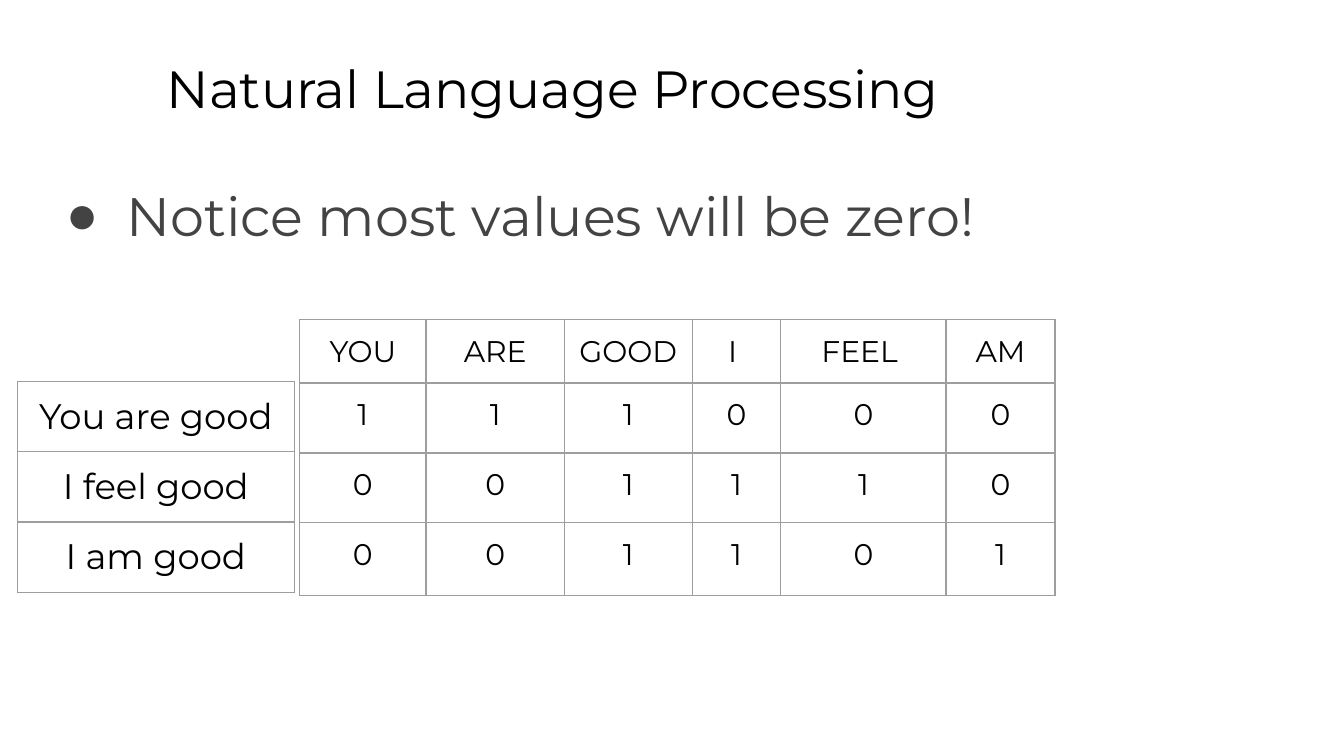
import dataclasses

import pptx
import pptx.dml.color
import pptx.enum.text
import pptx.oxml
import pptx.oxml.ns
import pptx.util

Inches = pptx.util.Inches
Align = pptx.enum.text.PP_ALIGN
Anchor = pptx.enum.text.MSO_ANCHOR


@dataclasses.dataclass(frozen=True)
class Theme:
    """Colours, font and type sizes of the slide."""
    font: str = "Montserrat"
    ink: str = "000000"
    body_ink: str = "434343"
    grid: str = "9E9E9E"
    paper: str = "FFFFFF"
    title_size: int = 28
    body_size: int = 29
    sentence_size: int = 19
    count_size: int = 16
    grid_width: float = 0.75


def write_text(frame, text, *, font, size, color, align=Align.LEFT):
    """Put one formatted paragraph in a text frame and return it."""
    para = frame.paragraphs[0]
    para.alignment = align
    para.space_before = para.space_after = pptx.util.Pt(0)
    span = para.add_run()
    span.text = text
    span.font.name = font
    span.font.size = pptx.util.Pt(size)
    span.font.color.rgb = pptx.dml.color.RGBColor.from_string(color)
    return para


def add_xml(parent, markup):
    """Append a DrawingML element to a parent element."""
    namespace = pptx.oxml.ns.nsdecls("a")
    parent.append(pptx.oxml.parse_xml(markup.replace(">", f" {namespace}>", 1)))


class SlideBuilder:
    """Holds the theme and the current slide."""

    def __init__(self, page, theme):
        """Keep the slide and paint its background."""
        self.page = page
        self.theme = theme
        fill = page.background.fill
        fill.solid()
        fill.fore_color.rgb = pptx.dml.color.RGBColor.from_string(theme.paper)

    def placeholder(self, box, text, area, size, color):
        """Move a placeholder and fill it with one paragraph."""
        box.left, box.top, box.width, box.height = map(Inches, area)
        frame = box.text_frame
        frame.word_wrap = True
        frame.auto_size = pptx.enum.text.MSO_AUTO_SIZE.NONE
        frame.vertical_anchor = Anchor.TOP
        frame.margin_left = frame.margin_right = Inches(0.1)
        frame.margin_top = frame.margin_bottom = Inches(0.1)
        return write_text(frame, text, font=self.theme.font, size=size, color=color)

    def title(self, text, area):
        """Write the slide title."""
        self.placeholder(self.page.shapes.title, text, area,
                         self.theme.title_size, self.theme.ink)

    def bullet(self, text, area):
        """Write the bulleted statement in the body placeholder."""
        para = self.placeholder(self.page.placeholders[1], text, area,
                                self.theme.body_size, self.theme.body_ink)
        properties = para._p.get_or_add_pPr()
        properties.set("marL", str(Inches(0.5)))
        properties.set("indent", str(Inches(-0.45)))
        add_xml(properties, f'<a:buClr><a:srgbClr val="{self.theme.body_ink}"/></a:buClr>')
        add_xml(properties, '<a:buChar char="●"></a:buChar>')

    def table(self, rows, left, top, widths, heights, size):
        """Add a plain ruled table with centred text."""
        area = map(Inches, (left, top, sum(widths), sum(heights)))
        table = self.page.shapes.add_table(len(rows), len(widths), *area).table
        table.first_row = table.horz_banding = False
        for column, width in zip(table.columns, widths):
            column.width = Inches(width)
        for row, height, texts in zip(table.rows, heights, rows):
            row.height = Inches(height)
            for cell, text in zip(row.cells, texts):
                self.cell(cell, text, size)

    def cell(self, cell, text, size):
        """Write and rule one table cell."""
        cell.margin_left = cell.margin_right = Inches(0.1)
        cell.margin_top = cell.margin_bottom = Inches(0.1)
        cell.vertical_anchor = Anchor.TOP
        write_text(cell.text_frame, text, font=self.theme.font, size=size,
                   color=self.theme.ink, align=Align.CENTER)
        width = pptx.util.Pt(self.theme.grid_width)
        for side in "LRTB":
            add_xml(cell._tc.get_or_add_tcPr(),
                    f'<a:ln{side} w="{width}"><a:solidFill>'
                    f'<a:srgbClr val="{self.theme.grid}"/></a:solidFill></a:ln{side}>')
        cell.fill.background()


def main():
    """Build the word count slide."""
    deck = pptx.Presentation()
    deck.slide_width = Inches(10)
    deck.slide_height = deck.slide_width * 9 // 16
    theme = Theme()
    slide = SlideBuilder(deck.slides.add_slide(deck.slide_layouts[1]), theme)
    slide.title("Natural Language Processing ", (1.14, 0.32, 8.52, 0.63))
    slide.bullet("Notice most values will be zero!", (0.34, 1.26, 9.5, 3.74))

    words = ["YOU", "ARE", "GOOD ", "I ", "FEEL ", "AM"]
    counts = {"You are good": "111000", "I feel good": "001110", "I am good": "001101"}
    slide.table([words, *counts.values()], 2.23, 2.38,
                [0.94, 1.03, 0.95, 0.66, 1.23, 0.81], [0.47, 0.52, 0.52, 0.54],
                theme.count_size)
    slide.table([[sentence] for sentence in counts], 0.13, 2.84,
                [2.06], [0.52] * len(counts), theme.sentence_size)
    deck.save("out.pptx")


main()
